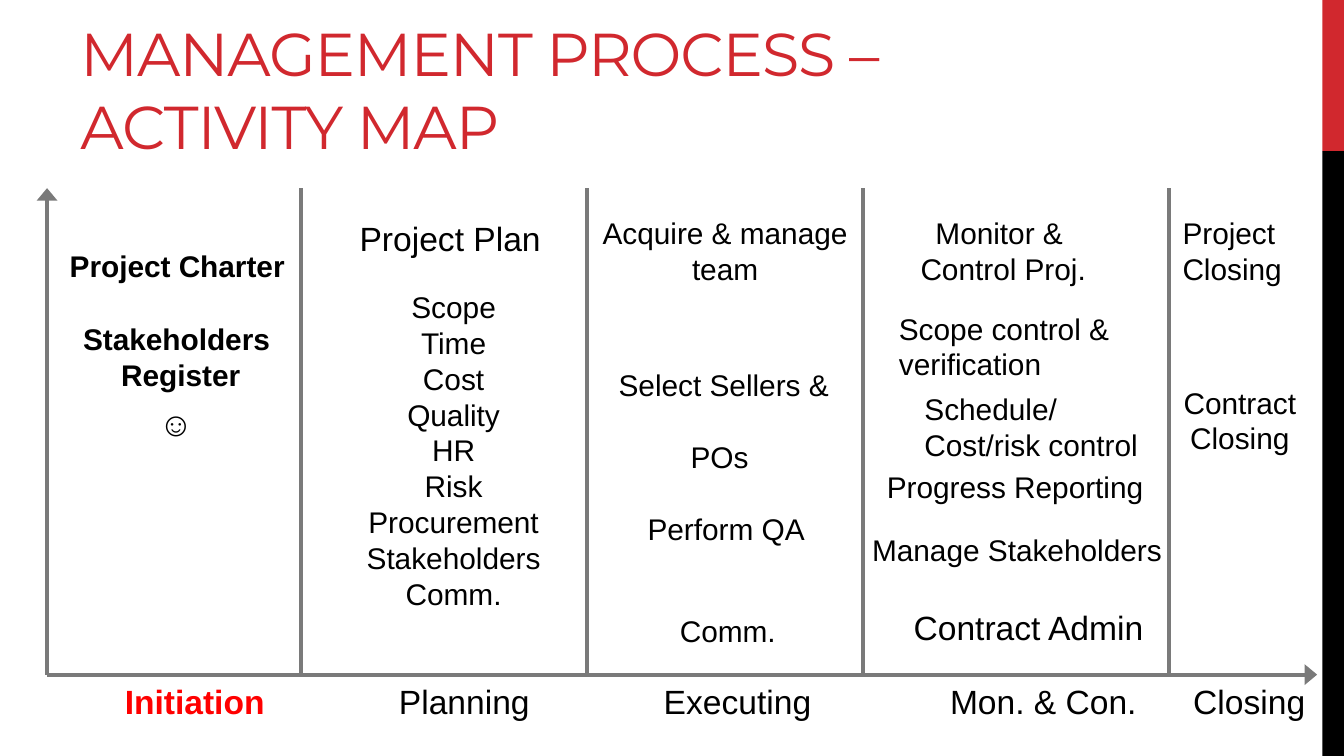
from lxml import etree
from pptx import Presentation
from pptx import util as u
from pptx.dml.color import RGBColor
from pptx.enum import shapes, text
from pptx.oxml.ns import qn

RED = RGBColor(0xD1, 0x28, 0x2E)
BRIGHT_RED = RGBColor(0xFF, 0x00, 0x00)
GREY = RGBColor(0x7A, 0x7A, 0x7A)
BLACK = RGBColor(0x00, 0x00, 0x00)
LEFT, CENTER = text.PP_ALIGN.LEFT, text.PP_ALIGN.CENTER

WIDTH = 10
HEIGHT = WIDTH * 9 / 16
BAND_LEFT, BAND_SPLIT = 9.84, HEIGHT / 5
COLUMNS = [0.35, 2.24, 4.37, 6.42, 8.7]  # left edge of each phase
TOP, AXIS, AXIS_END = 1.4, 5.02, 9.8

prs = Presentation()
prs.slide_width, prs.slide_height = u.Inches(WIDTH), u.Inches(HEIGHT)
slide = prs.slides.add_slide(prs.slide_layouts[6])


def add_rule(x1, y1, x2, y2, arrow=False):
    rule = slide.shapes.add_connector(
        shapes.MSO_CONNECTOR.STRAIGHT, *map(u.Inches, (x1, y1, x2, y2)))
    rule.line.color.rgb = GREY
    rule.line.width = u.Pt(2.25)
    if arrow:
        etree.SubElement(rule.line._get_or_add_ln(), qn("a:tailEnd"),
                         type="triangle", w="lg", len="med")
    etree.SubElement(rule._element.spPr, qn("a:effectLst"))


def add_label(x, y, width, lines, size=16, align=LEFT, bold=False, color=BLACK, gap=0):
    """Place one paragraph per line, with gap points between them."""
    height = len(lines) * size / 60 + 0.1
    box = slide.shapes.add_textbox(*map(u.Inches, (x, y, width, height)))
    frame = box.text_frame
    frame.word_wrap = False
    frame.text = "\n".join(lines)
    for number, paragraph in enumerate(frame.paragraphs):
        paragraph.alignment = align
        paragraph.space_before = u.Pt(gap if number else 0)
        paragraph.font.name = "Arial"
        paragraph.font.size = u.Pt(size)
        paragraph.font.bold = bold
        paragraph.font.color.rgb = color


# Side band
for top, bottom, color in [(0, BAND_SPLIT, RED), (BAND_SPLIT, HEIGHT, BLACK)]:
    band = slide.shapes.add_shape(
        shapes.MSO_SHAPE.RECTANGLE,
        *map(u.Inches, (BAND_LEFT, top, WIDTH - BAND_LEFT, bottom - top)))
    band.shadow.inherit = False
    band.fill.solid()
    band.fill.fore_color.rgb = color
    band.line.fill.background()

# Title
title = slide.shapes.add_textbox(*map(u.Inches, (0.5, 0.13, 9.15, 1.12))).text_frame
title.word_wrap = True
title.vertical_anchor = text.MSO_ANCHOR.BOTTOM
title.text = "MANAGEMENT PROCESS – \vACTIVITY MAP"
heading = title.paragraphs[0]
heading.font.name = "Montserrat"
heading.font.size = u.Pt(32.4)
heading.font.color.rgb = RED
for run in heading.runs:
    run._r.get_or_add_rPr().set("spc", "-60")

# Axes and phase dividers
add_rule(COLUMNS[0], AXIS, AXIS_END, AXIS, arrow=True)
add_rule(COLUMNS[0], AXIS, COLUMNS[0], TOP, arrow=True)
for x in COLUMNS[1:]:
    add_rule(x, TOP, x, AXIS)

# Phase names: offset from the column edge, width
phases = [("Initiation", 0.48, 1.25), ("Planning", 0.63, 1.18), ("Executing", 0.47, 1.31),
          ("Mon. & Con.", 0.55, 1.61), ("Closing", 0.08, 1.04)]
for column, (phase, offset, width) in zip(COLUMNS, phases):
    current = phase == "Initiation"
    add_label(column + offset, AXIS, width, [phase], size=18,
              bold=current, color=BRIGHT_RED if current else BLACK)

# Activities per phase: offset from the column edge, top, width, lines, formatting
centered = {"align": CENTER}
activities = [
    [(0.07, 1.79, 1.82, ["Project Charter"], {"bold": True}),
     (0.16, 2.34, 1.67, ["Stakeholders ", "Register"], {"align": CENTER, "bold": True}),
     (0.71, 2.95, 0.5, ["☺"], {"align": CENTER, "size": 18})],
    [(0.33, 1.57, 1.56, ["Project Plan"], {"align": CENTER, "size": 18}),
     (0.38, 2.1, 1.51, ["Scope", "Time", "Cost", "Quality", "HR", "Risk",
                        "Procurement", "Stakeholders", "Comm."], centered)],
    [(0, 1.55, 2.05, ["Acquire & manage ", "team"], centered),
     (0.12, 2.68, 1.79, ["Select Sellers & ", "POs "], {"align": CENTER, "gap": 19.2}),
     (0.35, 3.75, 1.38, ["Perform QA"], {}),
     (0.59, 4.51, 0.92, ["Comm."], {})],
    [(0.32, 1.55, 1.45, ["Monitor & ", "Control Proj."], centered),
     (0.17, 2.26, 1.8, ["Scope control &", "verification"], {}),
     (0.36, 2.86, 1.81, ["Schedule/", "Cost/risk control"], {}),
     (0.08, 3.44, 2.14, ["Progress Reporting"], {}),
     (-0.03, 3.91, 2.38, ["Manage Stakeholders"], {}),
     (0.28, 4.47, 1.93, ["Contract Admin"], {"size": 18})],
    [(0, 1.55, 0.95, ["Project", "Closing"], {}),
     (0, 2.81, 1.05, ["Contract ", "Closing"], centered)],
]
for column, items in zip(COLUMNS, activities):
    for offset, y, width, lines, formatting in items:
        add_label(column + offset, y, width, lines, **formatting)

prs.save("out.pptx")
